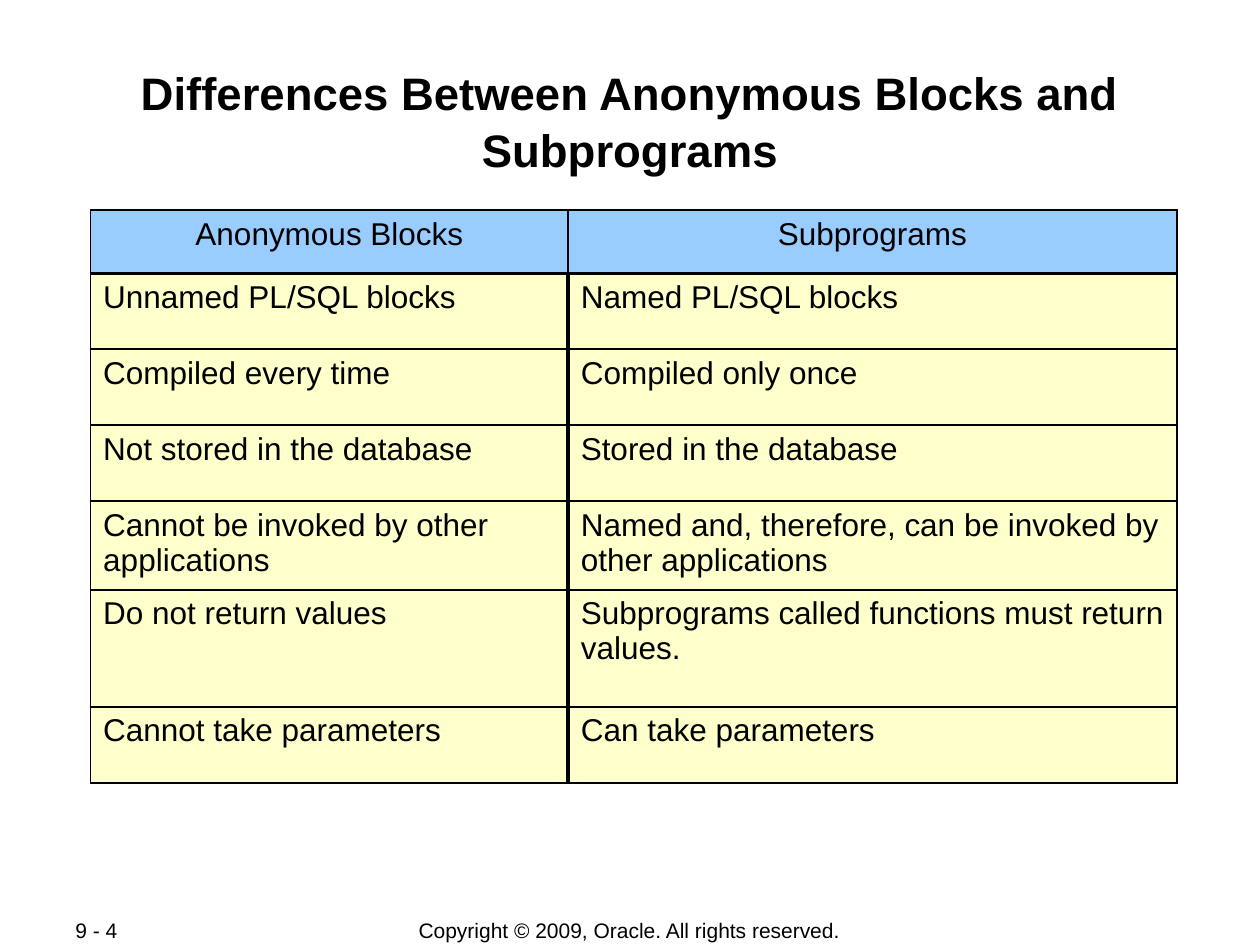
from dataclasses import dataclass

from lxml.etree import SubElement
from pptx import Presentation
from pptx.dml.color import RGBColor
from pptx.enum.text import MSO_ANCHOR, PP_ALIGN
from pptx.oxml.ns import qn
from pptx.slide import Slide
from pptx.table import _Cell
from pptx.text.text import TextFrame
from pptx.util import Pt

BLACK = RGBColor(0x00, 0x00, 0x00)
BLUE = RGBColor(0x99, 0xCC, 0xFF)
CREAM = RGBColor(0xFF, 0xFF, 0xCC)
THIN, THICK = 1.08, 2.21


@dataclass
class Row:
    left: str
    right: str
    height: float = 43.4


@dataclass
class Note:
    text: str
    left: float
    width: float
    align: PP_ALIGN


ROWS = [
    Row("Anonymous Blocks", "Subprograms", 36),
    Row("Unnamed PL/SQL blocks", "Named PL/SQL blocks"),
    Row("Compiled every time", "Compiled only once"),
    Row("Not stored in the database", "Stored in the database"),
    Row("Cannot be invoked by other applications",
        "Named and, therefore, can be invoked by other applications", 50.6),
    Row("Do not return values",
        "Subprograms called functions must return values.", 67),
    Row("Cannot take parameters", "Can take parameters"),
]
WIDTHS = (272.9, 347.8)
NOTES = [
    Note("Copyright © 2009, Oracle. All rights reserved.", 198, 323.3,
         PP_ALIGN.CENTER),
    Note("9 - 4", 36, 76.3, PP_ALIGN.LEFT),
]


def write(frame: TextFrame, text: str, size: float, align: PP_ALIGN,
          bold: bool = False) -> None:
    frame.text = text
    frame.word_wrap = True
    par = frame.paragraphs[0]
    par.alignment = align
    font = par.runs[0].font
    font.name, font.size, font.bold = "Arial", Pt(size), bold
    font.color.rgb = BLACK


def add_note(slide: Slide, note: Note) -> None:
    box = slide.shapes.add_textbox(
        Pt(note.left), Pt(524.2), Pt(note.width), Pt(14.8))
    write(box.text_frame, note.text, 12, note.align)
    box.text_frame.vertical_anchor = MSO_ANCHOR.MIDDLE


def add_edges(cell: _Cell, edges: dict[str, float]) -> None:
    """Put the border lines ahead of the fill, as the schema asks."""
    props = cell._tc.get_or_add_tcPr()
    for spot, (side, width) in enumerate(edges.items()):
        line = SubElement(props, qn(f"a:ln{side}"), w=str(Pt(width)))
        fill = SubElement(line, qn("a:solidFill"))
        SubElement(fill, qn("a:srgbClr"), val=str(BLACK))
        props.insert(spot, line)


def add_grid(slide: Slide) -> None:
    high = sum(row.height for row in ROWS)
    frame = slide.shapes.add_table(
        len(ROWS), len(WIDTHS), Pt(51.8), Pt(120.2), Pt(sum(WIDTHS)), Pt(high))
    grid = frame.table
    grid.horz_banding = False
    for col, width in zip(grid.columns, WIDTHS):
        col.width = Pt(width)
    for r, row in enumerate(ROWS):
        grid.rows[r].height = Pt(row.height)
        head = r == 0
        # Heavy lines run under the header and between the body columns
        split = THIN if head else THICK
        for c, text in enumerate((row.left, row.right)):
            cell = grid.cell(r, c)
            write(cell.text_frame, text, 18,
                  PP_ALIGN.CENTER if head else PP_ALIGN.LEFT)
            cell.fill.solid()
            cell.fill.fore_color.rgb = BLUE if head else CREAM
            add_edges(cell, {
                "L": split if c == 1 else THIN,
                "R": split if c == 0 else THIN,
                "T": THICK if r == 1 else THIN,
                "B": THICK if head else THIN,
            })


def add_title(slide: Slide) -> None:
    title = slide.shapes.title
    title.left, title.top = Pt(48.2), Pt(34.6)
    title.width, title.height = Pt(623.5), Pt(69.1)
    frame = title.text_frame
    write(frame, "Differences Between Anonymous Blocks and Subprograms", 26,
          PP_ALIGN.CENTER, True)
    frame.vertical_anchor = MSO_ANCHOR.TOP
    frame.margin_left = frame.margin_right = Pt(1)
    frame.margin_top = frame.margin_bottom = Pt(1)
    frame.paragraphs[0].line_spacing = 1.05


def main() -> None:
    deck = Presentation()
    deck.slide_width, deck.slide_height = Pt(720), Pt(540)
    slide = deck.slides.add_slide(deck.slide_layouts[5])
    # Footer
    for note in NOTES:
        add_note(slide, note)
    # Title and comparison table
    add_title(slide)
    add_grid(slide)
    deck.save("out.pptx")


if __name__ == "__main__":
    main()
